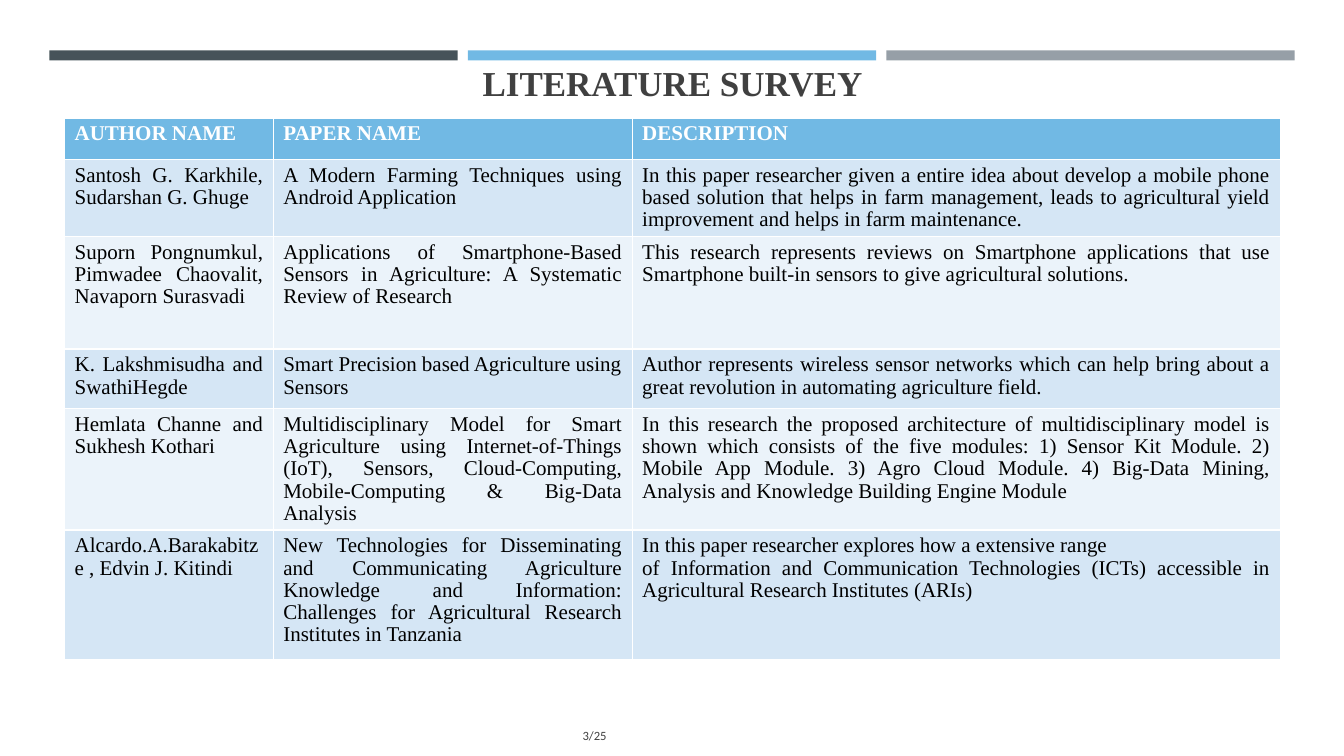
from pptx import Presentation
from pptx.dml.color import RGBColor
from pptx.enum.shapes import MSO_SHAPE as Shape
from pptx.enum.text import MSO_ANCHOR as Anchor, PP_ALIGN as Align
from pptx.util import Inches, Pt

SERIF = "Times New Roman"
LEFT, WIDTH = 0.64, 12.06


def color(code):
    return RGBColor.from_string(code)


def write(frame, text, font=SERIF, size=15, ink="000000", bold=False,
          align=Align.JUSTIFY, spacing=None):
    """Fill a text frame, one paragraph for each line of the text."""
    frame.word_wrap = True
    for index, line in enumerate(text.split("\n")):
        para = frame.add_paragraph() if index else frame.paragraphs[0]
        para.alignment, para.line_spacing = align, spacing
        span = para.add_run()
        span.text = line
        span.font.name, span.font.size, span.font.bold = font, Pt(size), bold
        span.font.color.rgb = color(ink)


deck = Presentation()
deck.slide_width, deck.slide_height = Inches(13.33), Inches(7.5)
page = deck.slides.add_slide(deck.slide_layouts[5])

# Three bars across the top
for column, fill in enumerate(["465359", "71B9E4", "969FA7"]):
    bar = page.shapes.add_shape(Shape.RECTANGLE, Inches(0.49 + 4.15 * column),
                                Inches(0.5), Inches(4.05), Inches(0.1))
    bar.shadow.inherit = False
    bar.fill.solid()
    bar.fill.fore_color.rgb = color(fill)
    bar.line.fill.background()

# Title
title = page.shapes.title
title.left, title.top = Inches(LEFT), Inches(0.68)
title.width, title.height = Inches(WIDTH), Inches(0.4)
title.text_frame.vertical_anchor = Anchor.BOTTOM
write(title.text_frame, "LITERATURE SURVEY", size=25, ink="404040", bold=True,
      align=Align.CENTER)

# Survey table
survey = [
    ("AUTHOR NAME", "PAPER NAME", "DESCRIPTION"),
    ("Santosh G. Karkhile, Sudarshan G. Ghuge",
     "A Modern Farming Techniques using Android Application",
     "In this paper researcher given a entire idea about develop a mobile phone based "
     "solution that helps in farm management, leads to agricultural yield improvement "
     "and helps in farm maintenance."),
    ("Suporn Pongnumkul, Pimwadee Chaovalit, Navaporn Surasvadi",
     "Applications of Smartphone-Based Sensors in Agriculture: A Systematic Review of "
     "Research",
     "This research represents reviews on Smartphone applications that use Smartphone "
     "built-in sensors to give agricultural solutions."),
    ("K. Lakshmisudha and SwathiHegde",
     "Smart Precision based Agriculture using\nSensors",
     "Author represents wireless sensor networks which can help bring about a great "
     "revolution in automating agriculture field."),
    ("Hemlata Channe and Sukhesh Kothari",
     "Multidisciplinary Model for Smart Agriculture using Internet-of-Things (IoT), "
     "Sensors, Cloud-Computing, Mobile-Computing & Big-Data Analysis",
     "In this research the proposed architecture of multidisciplinary model is shown "
     "which consists of the five modules: 1) Sensor Kit Module. 2) Mobile App Module. "
     "3) Agro Cloud Module. 4) Big-Data Mining, Analysis and Knowledge Building Engine "
     "Module"),
    ("Alcardo.A.Barakabitze , Edvin J. Kitindi",
     "New Technologies for Disseminating and Communicating Agriculture Knowledge and "
     "Information: Challenges for Agricultural Research Institutes in Tanzania",
     "In this paper researcher explores how a extensive range\n"
     "of Information and Communication Technologies (ICTs) accessible in Agricultural "
     "Research Institutes (ARIs)"),
]
column_widths = [2.07, 3.56, 6.43]
row_heights = [0.41, 0.76, 1.12, 0.59, 1.12, 1.29]
table = page.shapes.add_table(len(survey), len(column_widths), Inches(LEFT), Inches(1.17),
                              Inches(WIDTH), Inches(sum(row_heights))).table
for column, width in zip(table.columns, column_widths):
    column.width = Inches(width)
for row_index, (texts, height) in enumerate(zip(survey, row_heights)):
    row = table.rows[row_index]
    row.height = Inches(height)
    header = row_index == 0
    band = "71B9E4" if header else ("EBF3FA", "D5E6F5")[row_index % 2]
    for cell, text in zip(row.cells, texts):
        cell.fill.solid()
        cell.fill.fore_color.rgb = color(band)
        write(cell.text_frame, text, ink="FFFFFF" if header else "000000",
              bold=header, spacing=0.96)

# Page number
number = page.shapes.add_textbox(Inches(5.68), Inches(7.1), Inches(7.56), Inches(0.4))
number.text_frame.vertical_anchor = Anchor.MIDDLE
write(number.text_frame, "3/25", font="Calibri", size=9, ink="404040", align=Align.LEFT)

deck.save("out.pptx")
